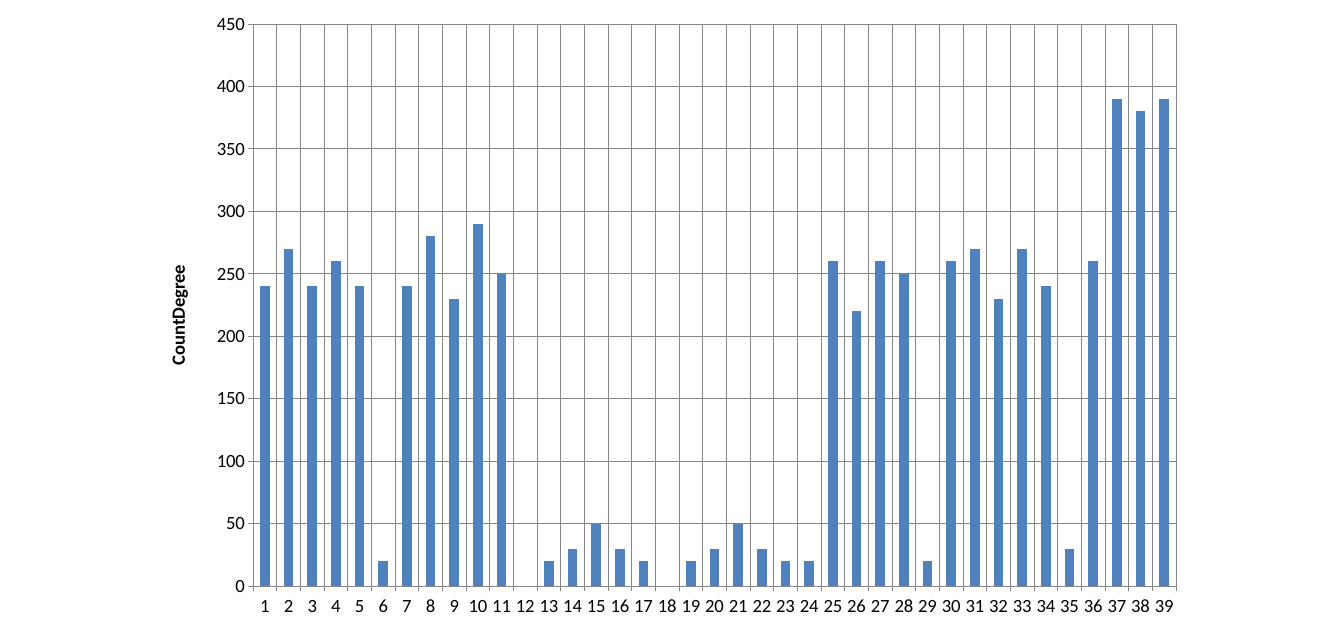
import pptx
import pptx.chart.data
import pptx.dml.color
import pptx.enum.chart
import pptx.oxml
import pptx.oxml.ns
import pptx.util

COLORS = {"bar": "4F81BD", "line": "868686", "text": "000000"}
COUNTS = [
    240, 270, 240, 260, 240, 20, 240, 280, 230, 290, 250, 0, 20,
    30, 50, 30, 20, 0, 20, 30, 50, 30, 20, 20, 260, 220,
    260, 250, 20, 260, 270, 230, 270, 240, 30, 260, 390, 380, 390,
]


class SlideBuilder:
    font_name = "Calibri"
    font_size = pptx.util.Pt(16)

    def __init__(self, slide):
        self.slide = slide

    def color(self, name):
        return pptx.dml.color.RGBColor.from_string(COLORS[name])

    def style_font(self, font, bold=False):
        font.name = self.font_name
        font.size = self.font_size
        font.bold = bold
        font.color.rgb = self.color("text")

    def style_line(self, line):
        line.color.rgb = self.color("line")
        line.width = pptx.util.Pt(0.75)

    def style_axis(self, axis):
        axis.has_major_gridlines = True
        axis.major_tick_mark = pptx.enum.chart.XL_TICK_MARK.OUTSIDE
        axis.minor_tick_mark = pptx.enum.chart.XL_TICK_MARK.NONE
        self.style_line(axis.format.line)
        self.style_line(axis.major_gridlines.format.line)
        self.style_font(axis.tick_labels.font)

    def column_chart(self, values, axis_title, left, top, width, height):
        data = pptx.chart.data.CategoryChartData()
        data.categories = [str(number) for number in range(1, len(values) + 1)]
        data.add_series("Series 1", values)
        chart = self.slide.shapes.add_chart(
            pptx.enum.chart.XL_CHART_TYPE.COLUMN_CLUSTERED,
            left, top, width, height, data).chart
        chart.has_legend = False
        chart.has_title = False
        self.style_font(chart.font)
        self.style_axis(chart.category_axis)
        self.style_axis(chart.value_axis)
        chart.value_axis.minimum_scale = 0
        chart.value_axis.maximum_scale = 450
        chart.value_axis.major_unit = 50
        title_frame = chart.value_axis.axis_title.text_frame
        title_frame.text = axis_title
        self.style_font(title_frame.paragraphs[0].font, bold=True)
        plot = chart.plots[0]
        plot.gap_width = 150
        plot.vary_by_categories = False
        bar_fill = plot.series[0].format.fill
        bar_fill.solid()
        bar_fill.fore_color.rgb = self.color("bar")


def main():
    deck = pptx.Presentation()
    deck.slide_width = pptx.util.Inches(16)
    deck.slide_height = pptx.util.Inches(7.5)
    page = SlideBuilder(deck.slides.add_slide(deck.slide_layouts[6]))
    page.column_chart(
        COUNTS, "CountDegree",
        pptx.util.Inches(1.75), pptx.util.Inches(0),
        pptx.util.Inches(12.5), pptx.util.Inches(7.5))
    deck.save("out.pptx")


if __name__ == "__main__":
    main()
